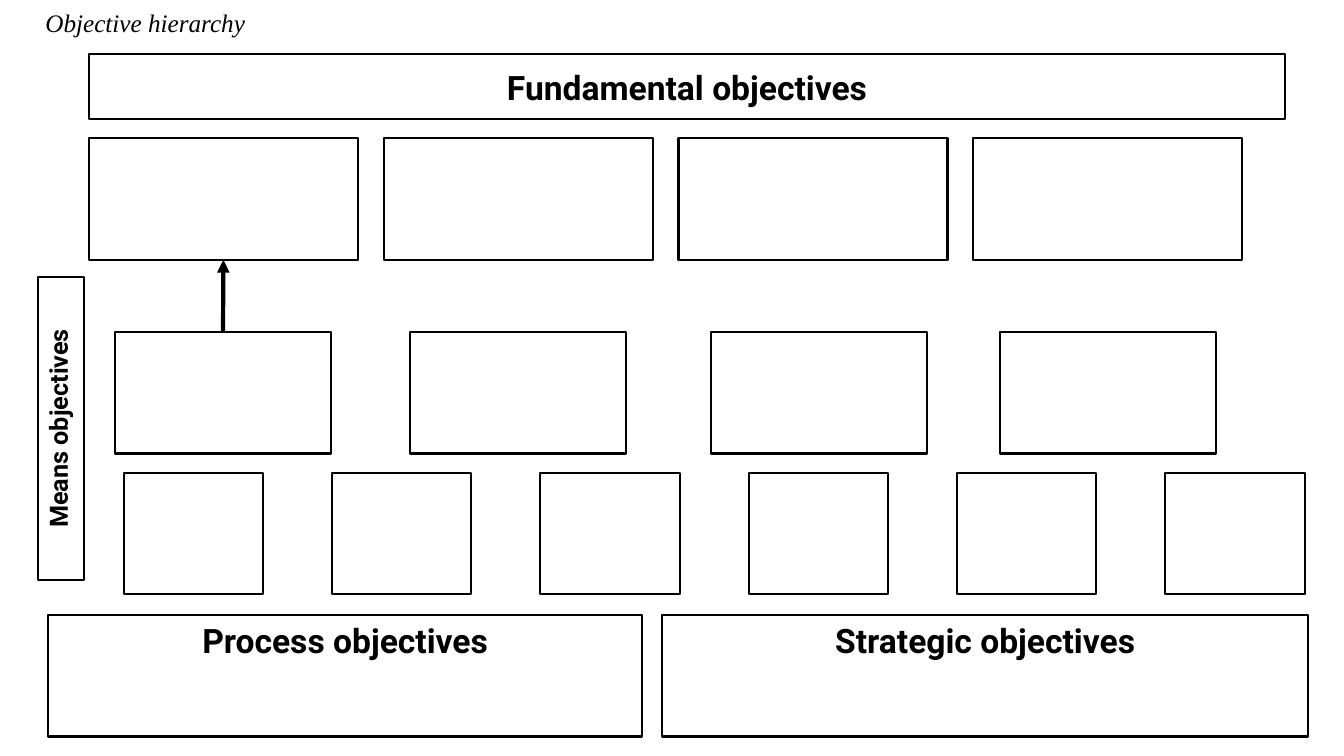
from dataclasses import dataclass

from lxml import etree
from pptx import Presentation
from pptx.dml.color import RGBColor
from pptx.enum.shapes import MSO_AUTO_SHAPE_TYPE, MSO_CONNECTOR_TYPE
from pptx.enum.text import MSO_ANCHOR, MSO_AUTO_SIZE, PP_ALIGN
from pptx.oxml.ns import qn
from pptx.util import Cm, Pt

RECTANGLE = MSO_AUTO_SHAPE_TYPE.RECTANGLE
STRAIGHT = MSO_CONNECTOR_TYPE.STRAIGHT
TOP, MIDDLE = MSO_ANCHOR.TOP, MSO_ANCHOR.MIDDLE
LEFT, CENTER = PP_ALIGN.LEFT, PP_ALIGN.CENTER
FIT_TEXT = MSO_AUTO_SIZE.SHAPE_TO_FIT_TEXT
TOP_SIDE, BOTTOM_SIDE = 0, 2
BLACK = "000000"
TITLE_FONT = {"name": "Times New Roman", "size": Pt(18), "bold": False, "italic": True}


@dataclass
class Box:
    """A framed box; lengths in centimetres, text size in points."""
    left: float
    top: float
    width: float
    height: float
    text: str = ""
    size: int = 24
    anchor: MSO_ANCHOR = TOP
    rotation: int = 0


@dataclass
class Row:
    """Empty boxes of one size, side by side."""
    lefts: list[float]
    top: float
    width: float


ROW_HEIGHT = 3.07
HEADINGS = [
    Box(2.24, 1.37, 30.15, 1.63, "Fundamental objectives", anchor=MIDDLE),
    Box(-2.29, 10.21, 7.65, 1.17, "Means objectives", size=18, rotation=270),
    Box(1.22, 15.49, 14.96, ROW_HEIGHT, "Process objectives"),
    Box(16.69, 15.49, 16.28, ROW_HEIGHT, "Strategic objectives"),
]
FUNDAMENTAL = Row([2.24 + 7.43 * i for i in range(4)], 3.48, 6.78)
UPPER_MEANS = Row([2.9, 10.34, 17.93, 25.2], 8.36, 5.44)
LOWER_MEANS = Row([3.12 + 5.25 * i for i in range(6)], 11.91, 3.51)


def colour(value: str) -> RGBColor:
    return RGBColor.from_string(value)


def write(frame, text: str, align: PP_ALIGN, font_format: dict) -> None:
    para = frame.paragraphs[0]
    para.alignment = align
    span = para.add_run()
    span.text = text
    for name, value in font_format.items():
        setattr(span.font, name, value)
    span.font.color.rgb = colour(BLACK)


def draw_box(page, box: Box):
    shape = page.shapes.add_shape(
        RECTANGLE, Cm(box.left), Cm(box.top), Cm(box.width), Cm(box.height))
    shape.rotation = box.rotation
    shape.shadow.inherit = False
    shape.fill.background()
    shape.line.color.rgb = colour(BLACK)
    shape.line.width = Pt(1.5)
    if box.text:
        shape.text_frame.vertical_anchor = box.anchor
        write(shape.text_frame, box.text, CENTER,
              {"name": "Roboto", "size": Pt(box.size), "bold": True})
    return shape


def draw_row(page, row: Row) -> list:
    return [draw_box(page, Box(left, row.top, row.width, ROW_HEIGHT))
            for left in row.lefts]


def draw_arrow(page, lower, upper) -> None:
    arrow = page.shapes.add_connector(STRAIGHT, 0, 0, 0, 0)
    arrow.begin_connect(lower, TOP_SIDE)
    arrow.end_connect(upper, BOTTOM_SIDE)
    arrow.line.color.rgb = colour(BLACK)
    arrow.line.width = Pt(3)
    etree.SubElement(arrow.line._get_or_add_ln(), qn("a:tailEnd"), type="triangle")
    etree.SubElement(arrow._element.spPr, qn("a:effectLst"))


def place_title(page, text: str) -> None:
    title = page.shapes.title
    place = {"left": 0.89, "top": 0.05, "width": 7.8, "height": 1.02}
    for name, value in place.items():
        setattr(title, name, Cm(value))
    frame = title.text_frame
    frame.word_wrap = True
    frame.auto_size = FIT_TEXT
    frame.vertical_anchor = TOP
    write(frame, text, LEFT, TITLE_FONT)


def main() -> None:
    deck = Presentation()
    deck.slide_width, deck.slide_height = Cm(33.87), Cm(19.05)
    page = deck.slides.add_slide(deck.slide_layouts[5])

    # Title and headings
    place_title(page, "Objective hierarchy")
    for heading in HEADINGS:
        draw_box(page, heading)

    # Rows of empty boxes
    fundamental = draw_row(page, FUNDAMENTAL)
    means = draw_row(page, UPPER_MEANS)
    draw_row(page, LOWER_MEANS)

    # Arrow from means to fundamental objective
    draw_arrow(page, means[0], fundamental[0])

    deck.save("out.pptx")


if __name__ == "__main__":
    main()
